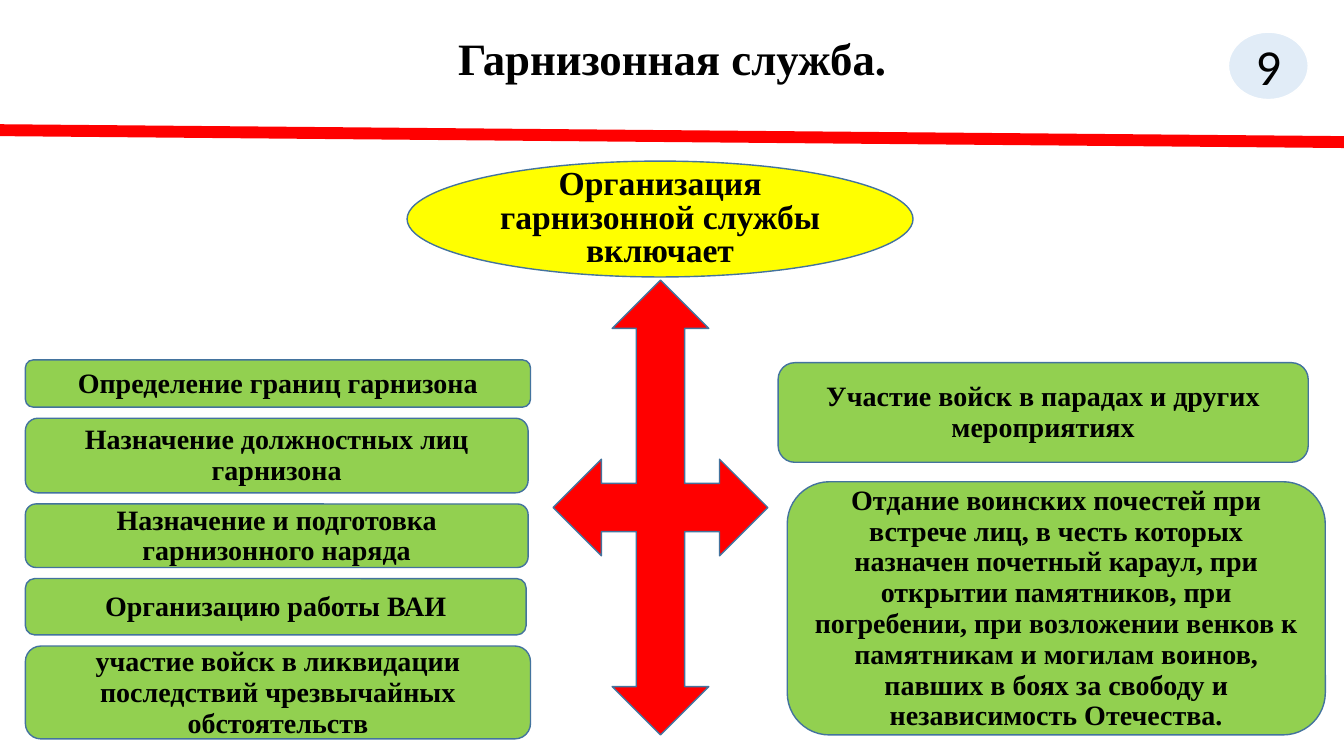
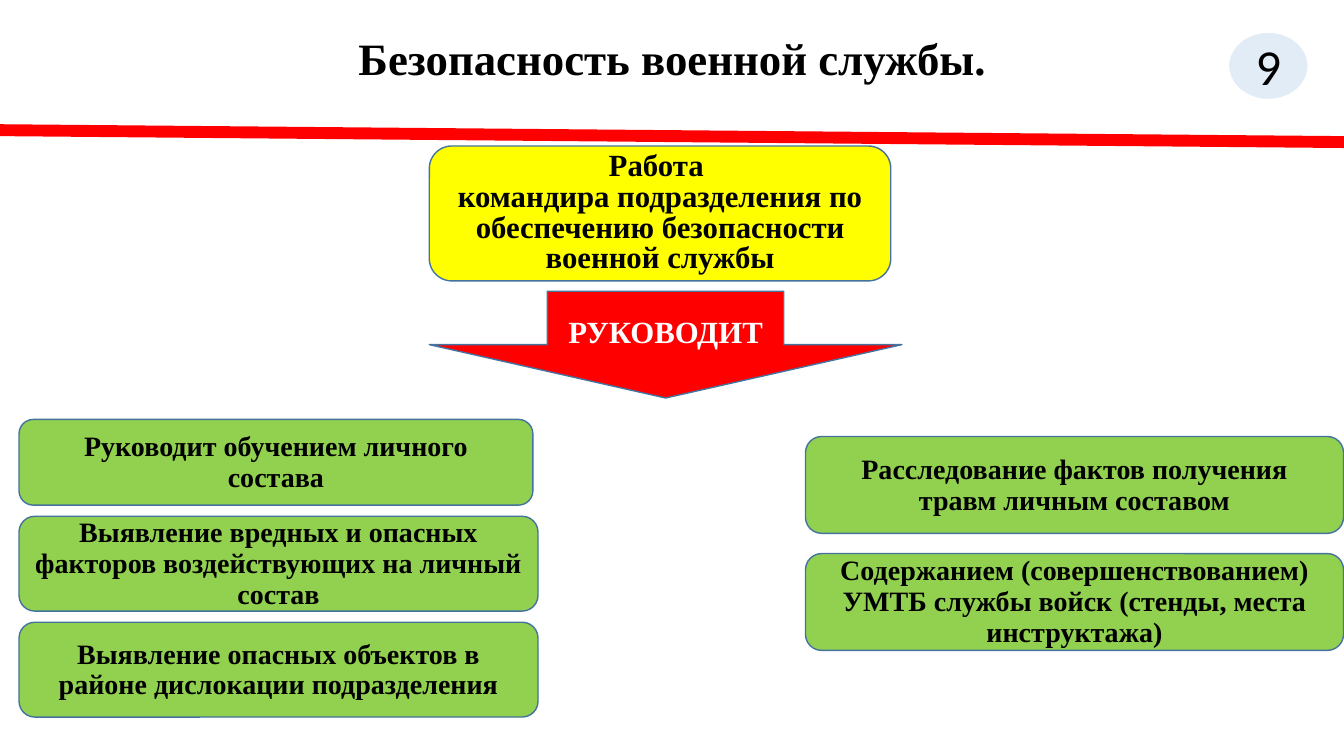
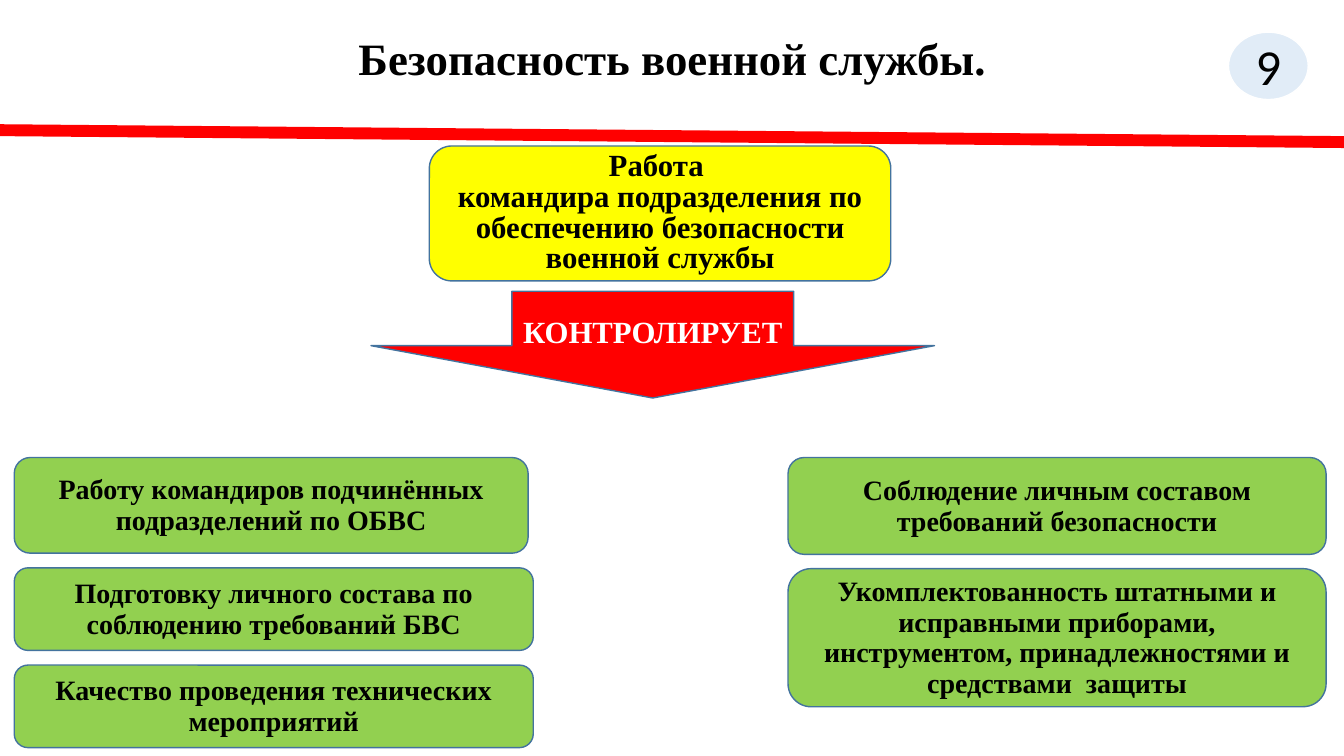
from lxml.etree import SubElement
from pptx import Presentation
from pptx.dml.color import RGBColor
from pptx.enum.shapes import MSO_CONNECTOR, MSO_SHAPE
from pptx.enum.text import MSO_ANCHOR, MSO_AUTO_SIZE, PP_ALIGN
from pptx.oxml.ns import qn
from pptx.util import Cm, Pt

# Palette and fonts
BLACK, WHITE = "000000", "FFFFFF"
RED, YELLOW, GREEN = "FF0000", "FFFF00", "92D050"
BLUE, EDGE = "5B9BD5", "43739E"
SERIF, SANS = "Times New Roman", "Calibri"


def paint(fill, tone):
    """Give a shape, line or font fill a solid colour."""
    fill.solid()
    fill.fore_color.rgb = RGBColor.from_string(tone)


class Deck:
    def __init__(self):
        self.file = Presentation()
        self.file.slide_width, self.file.slide_height = Cm(33.87), Cm(19.05)
        self.slide = None

    def page(self, title):
        """Start a slide with its title, red rule and number badge."""
        self.slide = self.file.slides.add_slide(self.file.slide_layouts[5])
        head = self.slide.shapes.title
        head.left, head.top = Cm(2.34), Cm(0)
        head.width, head.height = Cm(29.21), Cm(3.07)
        self.label(head, title, 32, lead=0.9)
        self.rule()
        self.badge("9")

    def rule(self):
        rule = self.slide.shapes.add_connector(
            MSO_CONNECTOR.STRAIGHT, Cm(0), Cm(3.28), Cm(33.87), Cm(3.58))
        paint(rule.line.fill, RED)
        rule.line.width = Pt(8.5)
        SubElement(rule._element.spPr, qn("a:effectLst"))

    def badge(self, text):
        oval = self.shape(MSO_SHAPE.OVAL, (30.96, 0.81, 2.01, 1.7), BLUE, WHITE)
        tint = oval._element.spPr.find(qn("a:solidFill"))[0]
        SubElement(tint, qn("a:alpha")).set("val", "18000")
        self.label(oval, text, 36, face=SANS, bold=False)

    def shape(self, kind, area, fill, edge=EDGE):
        item = self.slide.shapes.add_shape(kind, *map(Cm, area))
        item.shadow.inherit = False
        paint(item.fill, fill)
        paint(item.line.fill, edge)
        item.line.width = Pt(1)
        return item

    def label(self, item, text, size, tone=BLACK, lead=None, face=SERIF, bold=True):
        """Set centred text; each line of it is a paragraph."""
        frame = item.text_frame
        frame.text = text
        frame.word_wrap = True
        frame.auto_size = MSO_AUTO_SIZE.NONE
        frame.vertical_anchor = MSO_ANCHOR.MIDDLE
        for para in frame.paragraphs:
            para.alignment = PP_ALIGN.CENTER
            if lead:
                para.line_spacing = lead
            font = para.font
            font.name, font.size, font.bold = face, Pt(size), bold
            paint(font.fill, tone)

    def stack(self, left, top, gap, rows):
        """Place green boxes (width, height, text) one under another."""
        for width, height, text in rows:
            box = self.shape(MSO_SHAPE.ROUNDED_RECTANGLE,
                             (left, top, width, height), GREEN)
            self.label(box, text, 20, lead=Pt(22))
            top += height + gap

    def topic(self, kind, area, text, size):
        self.label(self.shape(kind, area, YELLOW), text, size, lead=Pt(size))

    def duty(self, left, width, verb, head=0.5):
        """Show the commander's work and an arrow that names the duty."""
        self.topic(MSO_SHAPE.ROUNDED_RECTANGLE, (10.82, 3.68, 11.63, 3.4),
                   "Работа \nкомандира подразделения по обеспечению "
                   "безопасности военной службы", 22)
        arrow = self.shape(MSO_SHAPE.DOWN_ARROW, (left, 7.34, width, 2.69), RED)
        arrow.adjustments[1] = head
        self.label(arrow, verb, 22, WHITE)


def main():
    deck = Deck()

    # Garrison service
    deck.page("Гарнизонная служба.")
    deck.topic(MSO_SHAPE.OVAL, (10.26, 4.06, 12.75, 2.92),
               "Организация гарнизонной службы включает", 24)
    deck.shape(MSO_SHAPE.QUAD_ARROW, (13.94, 7.06, 5.41, 11.46), RED)
    deck.stack(0.64, 9.07, 0.28, [
        (12.73, 1.19, "Определение границ гарнизона"),
        (12.67, 1.88, "Назначение должностных лиц гарнизона"),
        (12.67, 1.6, "Назначение и подготовка гарнизонного наряда"),
        (12.62, 1.42, "Организацию работы ВАИ"),
        (12.73, 2.34, "участие войск в ликвидации последствий "
                      "чрезвычайных обстоятельств"),
    ])
    deck.stack(19.61, 9.14, 0, [
        (13.36, 2.51, "Участие войск в парадах и других мероприятиях")])
    deck.stack(19.84, 12.14, 0, [
        (13.56, 6.38, "Отдание воинских почестей при встрече лиц, в честь "
                      "которых назначен почетный караул, при открытии "
                      "памятников, при погребении, при возложении венков к "
                      "памятникам и могилам воинов, павших в боях за свободу "
                      "и независимость Отечества.")])

    # Safety: what the commander leads
    deck.page("Безопасность военной службы.")
    deck.duty(10.82, 11.91, "РУКОВОДИТ")
    deck.stack(0.48, 10.57, 0.28, [
        (12.95, 2.16, "Руководит обучением личного состава"),
        (13.08, 2.39, "Выявление вредных и опасных факторов "
                      "воздействующих на личный состав"),
        (13.08, 2.39, "Выявление опасных объектов в районе "
                      "дислокации подразделения"),
    ])
    deck.stack(20.3, 11, 0.51, [
        (13.56, 2.44, "Расследование фактов получения травм личным составом"),
        (13.56, 2.44, "Содержанием (совершенствованием) УМТБ службы войск "
                      "(стенды, места инструктажа)"),
    ])

    # Safety: what the commander checks
    deck.page("Безопасность военной службы.")
    deck.duty(9.35, 14.2, "КОНТРОЛИРУЕТ", 0.49)
    deck.stack(0.36, 11.53, 0.37, [
        (12.95, 2.41, "Работу командиров подчинённых подразделений по ОБВС"),
        (13.08, 2.08, "Подготовку личного состава по соблюдению "
                      "требований БВС"),
        (13.08, 2.08, "Качество проведения технических мероприятий"),
    ])
    deck.stack(19.86, 11.53, 0.36, [
        (13.56, 2.44, "Соблюдение личным составом требований безопасности"),
        (13.56, 3.48, "Укомплектованность штатными и исправными приборами, "
                      "инструментом, принадлежностями и средствами  защиты"),
    ])

    deck.file.save("out.pptx")


if __name__ == "__main__":
    main()
